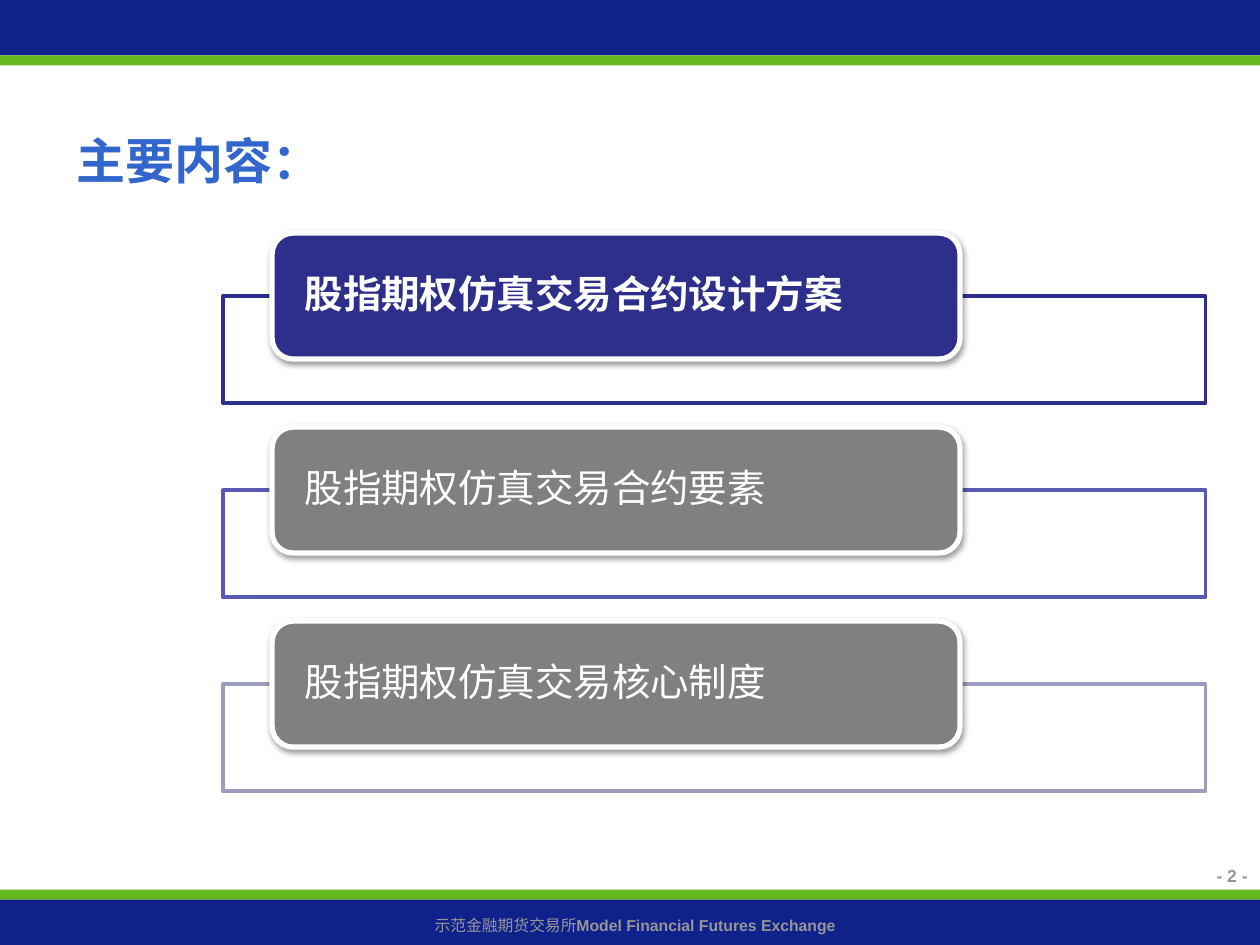
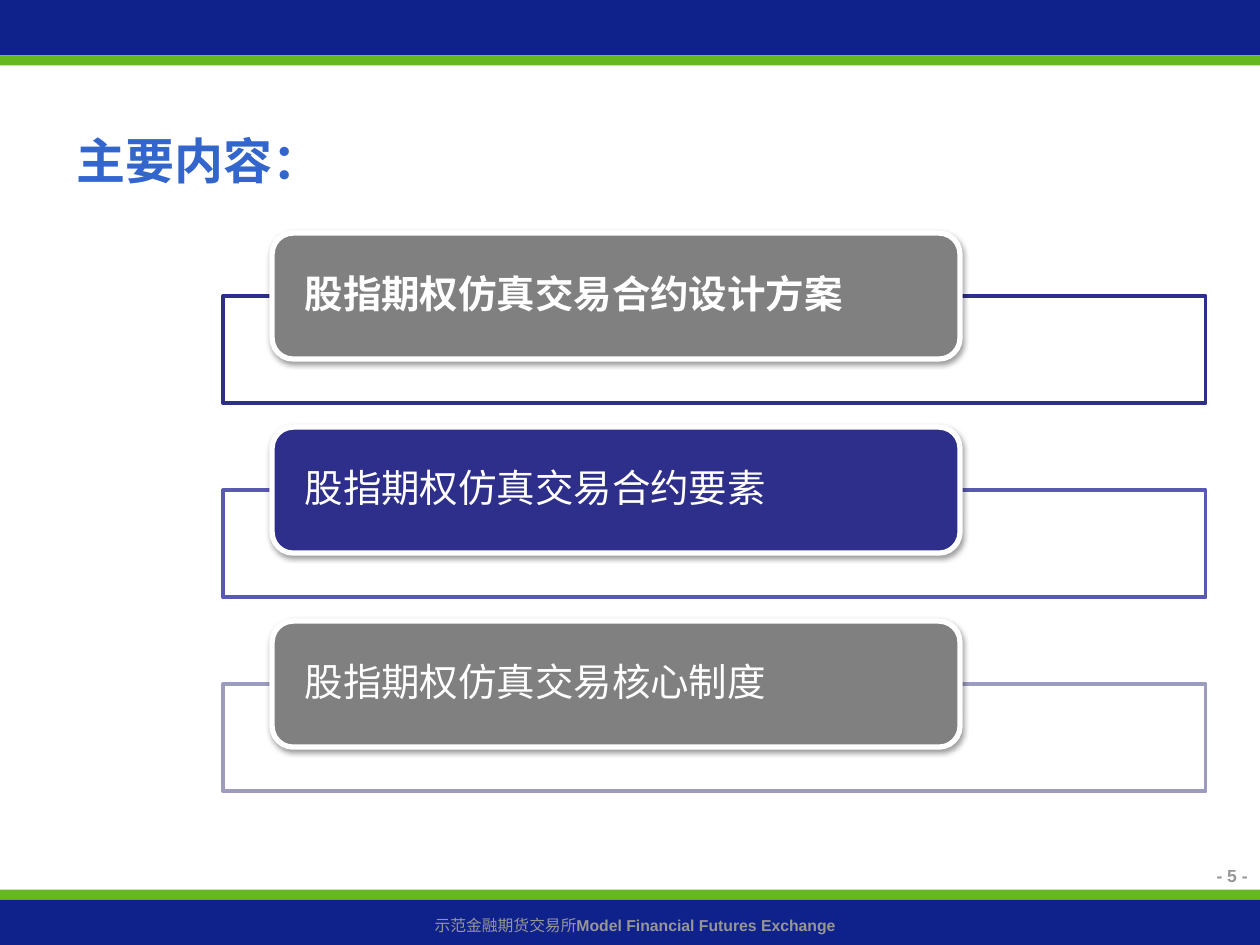
from dataclasses import dataclass

from lxml import etree
from pptx import Presentation
from pptx.dml.color import RGBColor
from pptx.enum.shapes import MSO_SHAPE
from pptx.enum.text import MSO_ANCHOR, PP_ALIGN
from pptx.oxml.ns import qn
from pptx.util import Inches, Pt

RECTANGLE = MSO_SHAPE.RECTANGLE
ROUNDED = MSO_SHAPE.ROUNDED_RECTANGLE
LEFT, CENTER, RIGHT = PP_ALIGN.LEFT, PP_ALIGN.CENTER, PP_ALIGN.RIGHT
TOP, MIDDLE = MSO_ANCHOR.TOP, MSO_ANCHOR.MIDDLE

# The grid: square cells, 100 columns by 75 rows
COLUMNS, ROWS = 100, 75
CELL = Inches(0.1)


@dataclass(frozen=True)
class Theme:
    navy: str = "0F218B"
    green: str = "66B821"
    title: str = "3366CC"
    muted: str = "969696"
    white: str = "FFFFFF"
    active: str = "2E2E8B"
    inactive: str = "808080"
    frames: tuple = ("2E2E8B", "5959B1", "9C9CBF")
    latin_font: str = "Arial"
    chinese_font: str = "Noto Sans CJK SC"
    title_size: int = 28
    topic_size: int = 22
    number_size: int = 10
    footer_size: int = 9


TITLE = "主要内容："
TOPICS = ("股指期权仿真交易合约设计方案", "股指期权仿真交易合约要素", "股指期权仿真交易核心制度")
EXCHANGE_CHINESE = "示范金融期货交易所"
EXCHANGE_ENGLISH = "Model Financial Futures Exchange"


def cells(*counts):
    """Turn grid counts into lengths."""
    return [round(count * CELL) for count in counts]


def add_text(paragraph, text, *, size, color, font, east_asian, bold=False):
    run = paragraph.add_run()
    run.text = text
    run.font.size = Pt(size)
    run.font.bold = bold
    run.font.name = font
    run.font.color.rgb = RGBColor.from_string(color)
    latin = run.font._element.find(qn("a:latin"))
    latin.addnext(latin.makeelement(qn("a:ea"), {"typeface": east_asian}))


class Deck:
    """Holds the theme and the slide being drawn."""

    def __init__(self, theme):
        self.theme = theme
        self.presentation = Presentation()
        self.presentation.slide_width, self.presentation.slide_height = cells(COLUMNS, ROWS)
        self.slide = None

    def new_slide(self, number):
        self.slide = self.presentation.slides.add_slide(self.presentation.slide_layouts[6])
        self.bands()
        self.footer(number)

    # Basic elements
    def shape(self, kind, box, fill, line=None, line_width=0):
        shape = self.slide.shapes.add_shape(kind, *cells(*box))
        shape.shadow.inherit = False
        shape.fill.solid()
        shape.fill.fore_color.rgb = RGBColor.from_string(fill)
        if line:
            shape.line.color.rgb = RGBColor.from_string(line)
            shape.line.width = Pt(line_width)
        else:
            shape.line.fill.background()
        return shape

    def fill_text(self, shape, runs, align=LEFT, anchor=TOP, **style):
        """Put runs of (text, bold) into the one paragraph of a shape."""
        frame = shape.text_frame
        frame.word_wrap = True
        frame.vertical_anchor = anchor
        paragraph = frame.paragraphs[0]
        paragraph.alignment = align
        for text, bold in runs:
            add_text(paragraph, text, bold=bold, east_asian=self.theme.chinese_font, **style)
        return paragraph

    def text_box(self, box, runs, **style):
        self.fill_text(self.slide.shapes.add_textbox(*cells(*box)), runs, **style)

    def soft_shadow(self, shape):
        effects = shape._element.spPr.find(qn("a:effectLst"))
        shadow = etree.SubElement(effects, qn("a:outerShdw"), blurRad=str(Pt(3.1)),
                                  dist=str(Pt(1.6)), dir="5400000", rotWithShape="0")
        color = etree.SubElement(shadow, qn("a:srgbClr"), val="000000")
        etree.SubElement(color, qn("a:alpha"), val="38000")

    # Parts shared by the slides
    def bands(self):
        theme = self.theme
        for top, height, color in ((0, 4.4, theme.navy), (4.4, 0.8, theme.green),
                                   (70.6, 0.8, theme.green), (71.4, 3.6, theme.navy)):
            self.shape(RECTANGLE, (0, top, COLUMNS, height), color)

    def footer(self, number):
        style = {"color": self.theme.muted, "font": self.theme.latin_font}
        self.text_box((0.8, 72.2, 99.2, 2.5),
                      [(EXCHANGE_CHINESE, False), (EXCHANGE_ENGLISH, True)],
                      align=CENTER, size=self.theme.footer_size, **style)
        self.text_box((80.3, 68.2, 19.7, 3.6), [(f"- {number} -", True)],
                      align=RIGHT, size=self.theme.number_size, **style)

    def title(self, text):
        self.text_box((5.1, 9.9, 32.3, 5.7), [(text, True)], size=self.theme.title_size,
                      color=self.theme.title, font=self.theme.chinese_font)

    # Agenda: each topic is a card over an outlined frame
    def topic(self, top, text, frame_color, card_color, bold):
        theme = self.theme
        self.shape(RECTANGLE, (17.7, top + 5, 78, 8.5), theme.white, frame_color, 2)
        card = self.shape(ROUNDED, (21.6, top, 54.6, 10), card_color, theme.white, 3)
        self.soft_shadow(card)
        frame = card.text_frame
        frame.margin_left = frame.margin_right = Inches(0.21)
        frame.margin_top = frame.margin_bottom = 0
        paragraph = self.fill_text(card, [(text, bold)], anchor=MIDDLE, size=theme.topic_size,
                                   color=theme.white, font=theme.chinese_font)
        paragraph.line_spacing = 0.9

    def agenda(self, current):
        first_top, pitch = 18.5, 15.4
        for index, (text, frame_color) in enumerate(zip(TOPICS, self.theme.frames)):
            card_color = self.theme.active if index == current else self.theme.inactive
            self.topic(first_top + index * pitch, text, frame_color, card_color, bold=index == 0)


def main():
    deck = Deck(Theme())
    # Page number and the topic that is highlighted on it
    for number, current in ((2, 0), (5, 1)):
        deck.new_slide(number)
        deck.title(TITLE)
        deck.agenda(current)
    deck.presentation.save("out.pptx")


if __name__ == "__main__":
    main()
